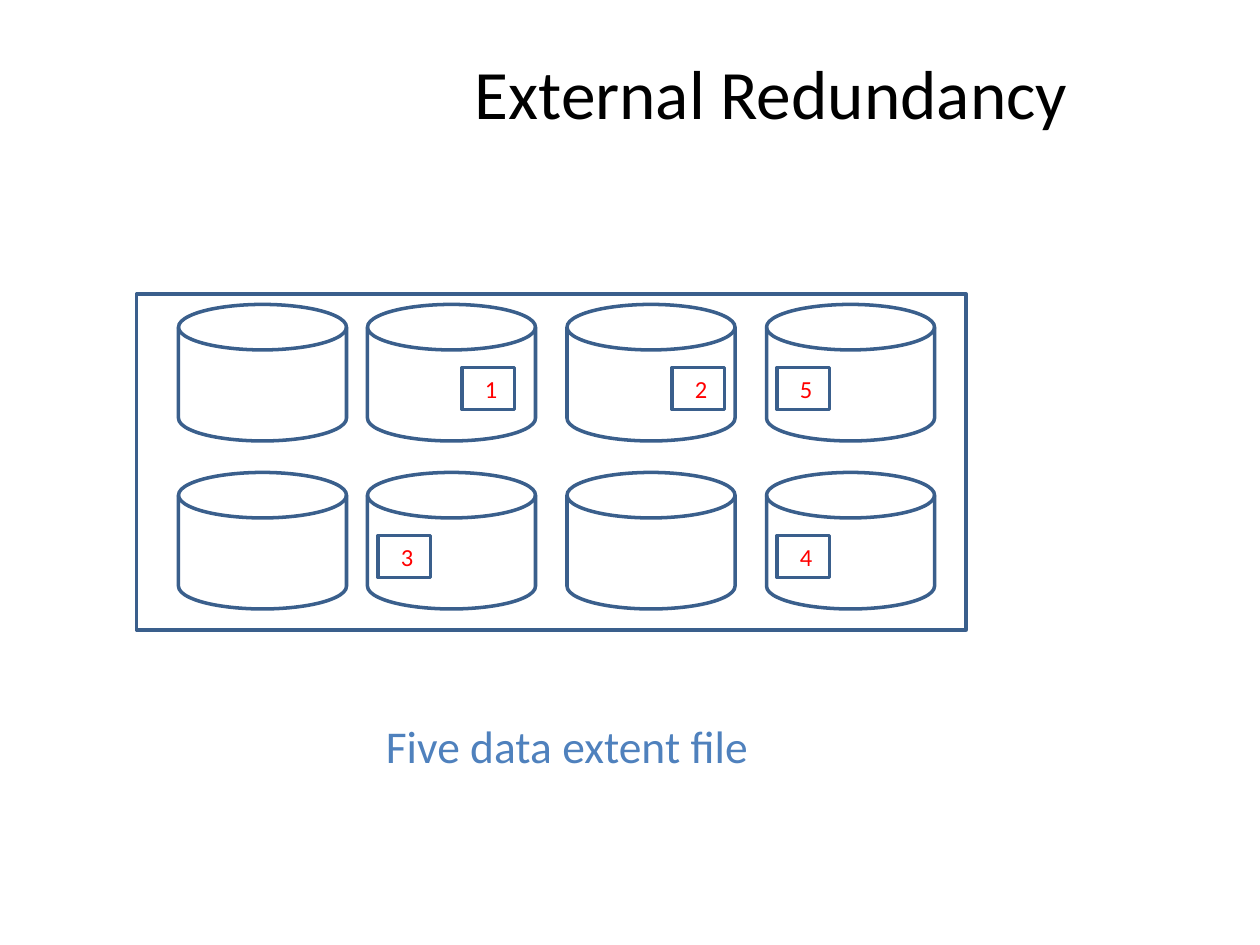
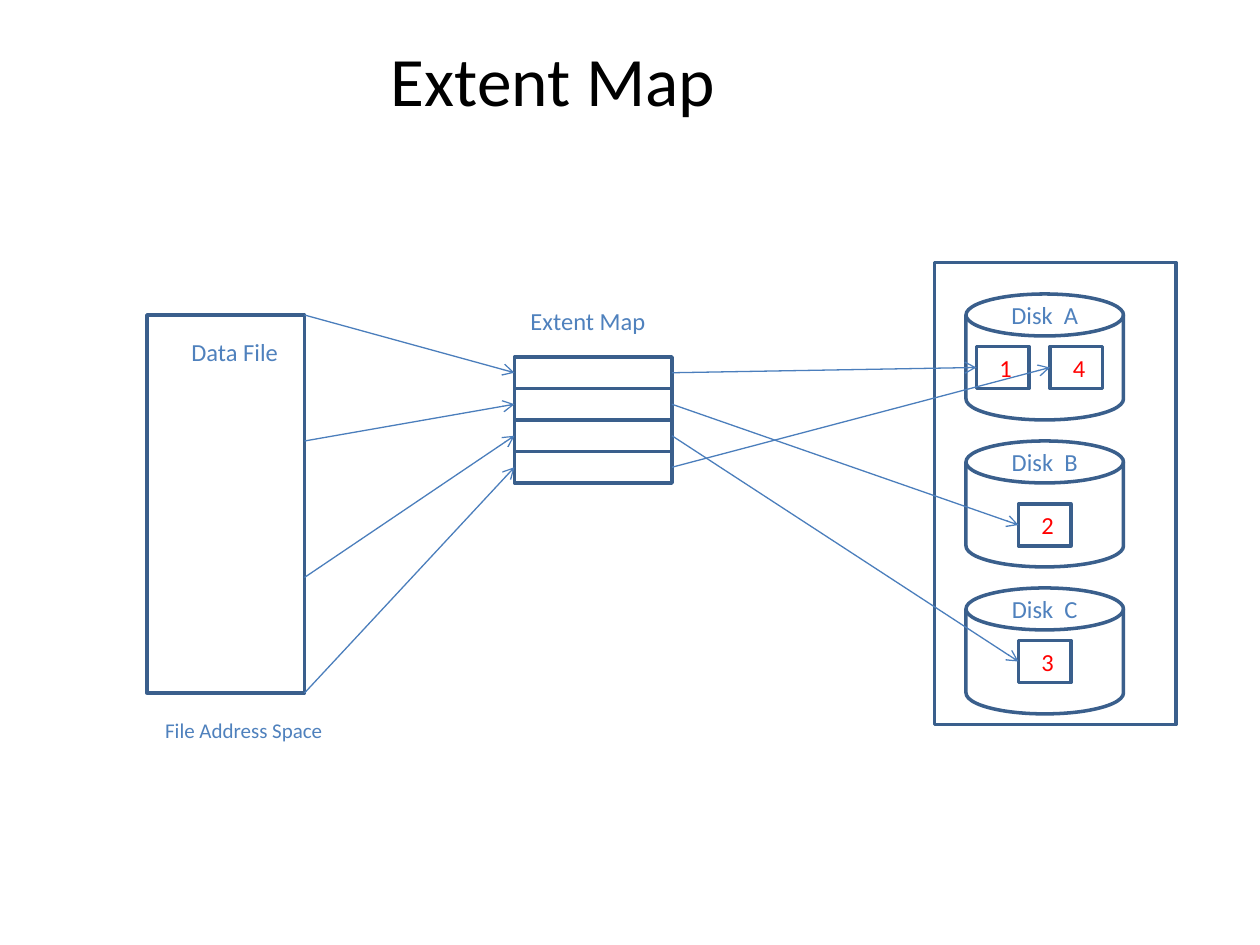
from dataclasses import dataclass

from lxml.etree import SubElement
from pptx import Presentation
from pptx.dml.color import RGBColor
from pptx.enum.shapes import MSO_CONNECTOR, MSO_SHAPE
from pptx.enum.text import MSO_ANCHOR, MSO_AUTO_SIZE, PP_ALIGN
from pptx.oxml.ns import qn
from pptx.shapes.autoshape import Shape
from pptx.slide import Slide
from pptx.util import Emu, Pt

PX = 9525
PAGE_WIDTH, PAGE_HEIGHT = 960, 720
TITLE_ONLY_LAYOUT = 5
INSET = 10

BLACK = RGBColor(0x00, 0x00, 0x00)
WHITE = RGBColor(0xFF, 0xFF, 0xFF)
RED = RGBColor(0xFF, 0x00, 0x00)
BLUE = RGBColor(0x4F, 0x81, 0xBD)
OUTLINE_BLUE = RGBColor(0x3A, 0x5F, 0x8C)
ARROW_BLUE = RGBColor(0x4B, 0x7E, 0xBC)

FONT = "Calibri"
TITLE_FRAME = {
    "word_wrap": True,
    "auto_size": MSO_AUTO_SIZE.NONE,
    "vertical_anchor": MSO_ANCHOR.TOP,
}
LABEL_FRAME = {"word_wrap": True, "vertical_anchor": MSO_ANCHOR.MIDDLE}


@dataclass(frozen=True)
class Area:
    left: int
    top: int
    width: int
    height: int

    @property
    def right(self) -> int:
        return self.left + self.width

    @property
    def middle(self) -> int:
        return self.top + self.height // 2

    def emu(self) -> list[Emu]:
        return [px(value) for value in (self.left, self.top, self.width, self.height)]


@dataclass(frozen=True)
class Label:
    text: str
    area: Area
    size: int = 14
    color: RGBColor = BLUE
    shift: int = 0


@dataclass(frozen=True)
class Extent:
    number: int
    left: int
    top: int

    @property
    def area(self) -> Area:
        return Area(self.left, self.top, 40, 32)


def px(value: int) -> Emu:
    return Emu(value * PX)


def apply_format(target: object, values: dict[str, object]) -> None:
    for name, value in values.items():
        setattr(target, name, value)


def write_text(shape: Shape, text: str, size: float, color: RGBColor, align: PP_ALIGN) -> None:
    para = shape.text_frame.paragraphs[0]
    para.alignment = align
    span = para.add_run()
    span.text = text
    apply_format(span.font, {"name": FONT, "size": Pt(size)})
    span.font.color.rgb = color


def add_page(deck: Presentation, title: str, area: Area) -> Slide:
    page = deck.slides.add_slide(deck.slide_layouts[TITLE_ONLY_LAYOUT])
    box = page.shapes.title
    apply_format(box, dict(zip(("left", "top", "width", "height"), area.emu())))
    apply_format(box.text_frame, TITLE_FRAME)
    box.text_frame.margin_top = px(area.height // 2)
    write_text(box, title, 39.6, BLACK, PP_ALIGN.LEFT)
    return page


def draw_outline(page: Slide, area: Area) -> None:
    box = page.shapes.add_shape(MSO_SHAPE.RECTANGLE, *area.emu())
    box.shadow.inherit = False
    box.fill.solid()
    box.fill.fore_color.rgb = WHITE
    box.line.color.rgb = OUTLINE_BLUE
    box.line.width = Pt(2)


def draw_disk(page: Slide, area: Area) -> None:
    disk = page.shapes.add_shape(MSO_SHAPE.FLOWCHART_MAGNETIC_DISK, *area.emu())
    disk.shadow.inherit = False
    disk.fill.background()
    disk.line.color.rgb = OUTLINE_BLUE
    disk.line.width = Pt(2)


def draw_label(page: Slide, label: Label) -> None:
    box = page.shapes.add_shape(MSO_SHAPE.RECTANGLE, *label.area.emu())
    box.shadow.inherit = False
    box.fill.solid()
    box.fill.fore_color.rgb = WHITE
    box.line.fill.background()
    apply_format(box.text_frame, LABEL_FRAME)
    if label.shift:
        box.text_frame.margin_left = px(INSET + label.shift)
    write_text(box, label.text, label.size, label.color, PP_ALIGN.CENTER)


def draw_extent(page: Slide, extent: Extent) -> None:
    draw_outline(page, extent.area)
    number_area = Area(extent.left + 8, extent.top + 8, 24, 16)
    draw_label(page, Label(str(extent.number), number_area, color=RED))


def draw_arrow(page: Slide, start: tuple[int, int], end: tuple[int, int]) -> None:
    points = [px(value) for value in (*start, *end)]
    arrow = page.shapes.add_connector(MSO_CONNECTOR.STRAIGHT, *points)
    arrow.line.color.rgb = ARROW_BLUE
    arrow.line.width = Pt(0.75)
    properties = arrow._element.spPr
    SubElement(properties.find(qn("a:ln")), qn("a:tailEnd"), type="arrow")
    SubElement(properties, qn("a:effectLst"))


def build_redundancy_page(deck: Presentation) -> None:
    page = add_page(deck, "External Redundancy", Area(352, 8, 512, 60))
    draw_outline(page, Area(104, 224, 632, 256))
    for top in (232, 360):
        for left in (136, 280, 432, 584):
            draw_disk(page, Area(left, top, 128, 104))
    extents = [
        Extent(1, 352, 280),
        Extent(2, 512, 280),
        Extent(5, 592, 280),
        Extent(4, 592, 408),
        Extent(3, 288, 408),
    ]
    for extent in extents:
        draw_extent(page, extent)
    draw_label(page, Label("Five data extent file", Area(280, 552, 304, 32), size=26))


def build_extent_map_page(deck: Presentation) -> None:
    page = add_page(deck, "Extent Map", Area(288, 0, 576, 56))
    draw_outline(page, Area(712, 200, 184, 352))
    for index, letter in enumerate("ABC"):
        top = 224 + 112 * index
        draw_disk(page, Area(736, top, 120, 96))
        draw_label(page, Label(f"Disk  {letter}", Area(760, top + 8, 72, 16)))

    file_area = Area(112, 240, 120, 288)
    draw_outline(page, file_area)
    labels = [
        Label("Data File", Area(120, 248, 104, 40), shift=13),
        Label("File Address Space", Area(80, 536, 200, 40), size=12, shift=11),
        Label("Extent Map", Area(392, 232, 112, 24)),
    ]
    for label in labels:
        draw_label(page, label)

    map_rows = [Area(392, 272 + 24 * index, 120, 24) for index in range(4)]
    extents = [
        Extent(1, 744, 264),
        Extent(2, 776, 384),
        Extent(3, 776, 488),
        Extent(4, 800, 264),
    ]
    for row, extent in zip(map_rows, extents):
        draw_outline(page, row)
        draw_extent(page, extent)

    file_offsets = (240, 336, 440, 528)
    for offset, row, extent in zip(file_offsets, map_rows, extents):
        draw_arrow(page, (file_area.right, offset), (row.left, row.middle))
        draw_arrow(page, (row.right, row.middle), (extent.left, extent.area.middle))


def main() -> None:
    deck = Presentation()
    deck.slide_width, deck.slide_height = px(PAGE_WIDTH), px(PAGE_HEIGHT)
    build_redundancy_page(deck)
    build_extent_map_page(deck)
    deck.save("out.pptx")


if __name__ == "__main__":
    main()
